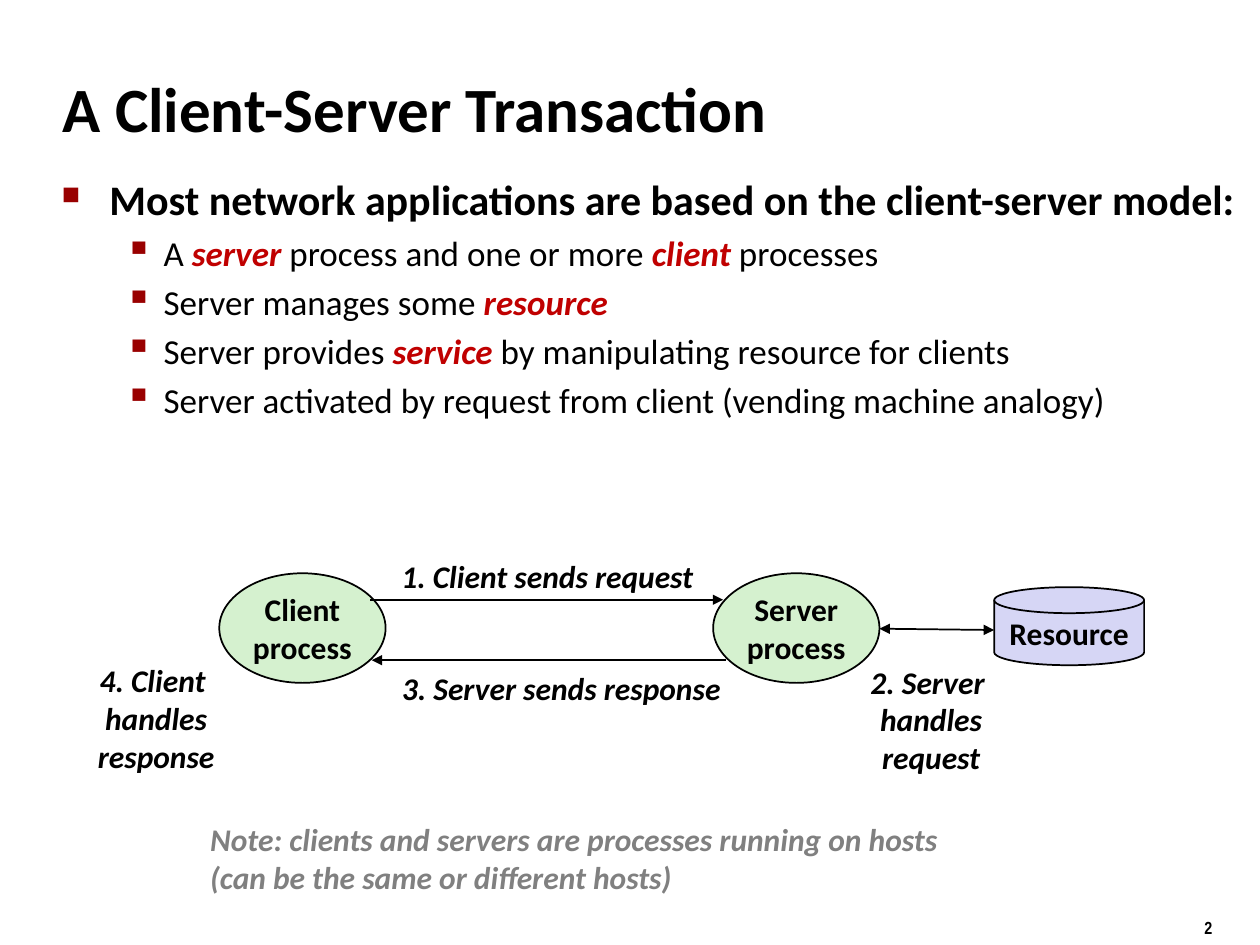
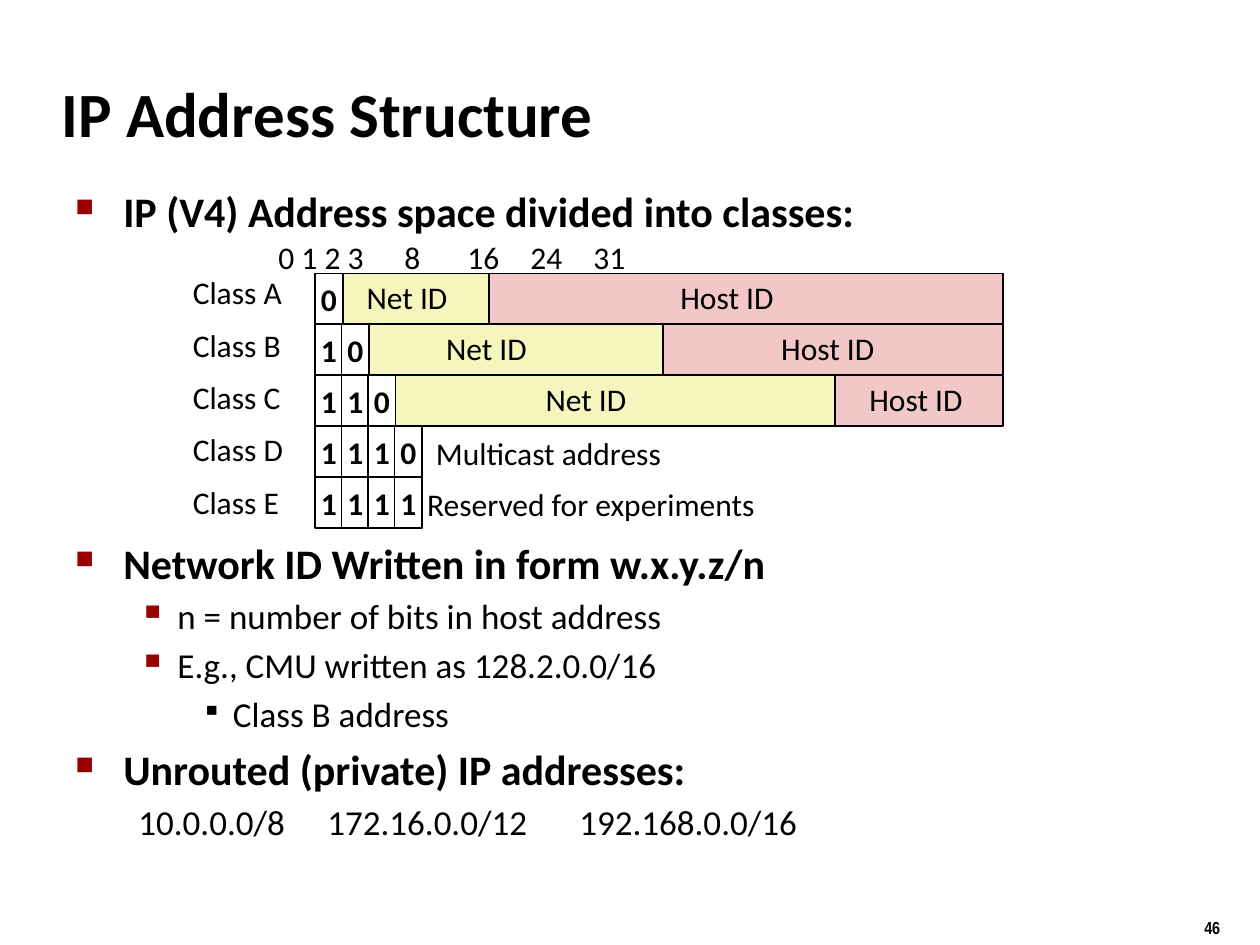
from lxml import etree
from pptx import Presentation
from pptx.dml.color import RGBColor
from pptx.enum.shapes import MSO_CONNECTOR as Connector, MSO_SHAPE as Shape
from pptx.enum.text import MSO_ANCHOR as Anchor, PP_ALIGN as Align
from pptx.oxml.ns import qn
from pptx.util import Inches, Pt

BLACK, WHITE, GREY = "000000", "FFFFFF", "808080"
BULLET_RED, EMPHASIS_RED = "990000", "C00000"
GREEN, LILAC, YELLOW, PINK = "D5F1CF", "D6D6F5", "F6F5BD", "F1C7C7"
LEVELS = [
    dict(size=24, bold=True, before=4.8, margin=0.38, hang=0.38, bullet=("■", BULLET_RED, 60)),
    dict(size=20, before=4, margin=0.81, hang=0.31, bullet=("▪", BULLET_RED, 110)),
    dict(size=20, before=4, margin=1.25, hang=0.25, bullet=("▪", BLACK, 80)),
]


def rgb(value):
    """Turn a hex string into a colour."""
    return RGBColor.from_string(value)


def add_element(parent, tag, **attributes):
    """Append a DrawingML child with the given attributes."""
    child = etree.SubElement(parent, qn(tag))
    for name, value in attributes.items():
        child.set(name, str(value))
    return child


def write(paragraph, text, size=18, bold=False, italic=False, color=BLACK, font="Calibri",
          align=Align.LEFT, before=0, margin=0, hang=0, bullet=None, tabs=()):
    """Write text into a paragraph, emphasising the parts between asterisks."""
    properties = paragraph._p.get_or_add_pPr()
    properties.set("marL", str(Inches(margin)))
    properties.set("indent", str(-Inches(hang)))
    if bullet:
        character, bullet_color, percent = bullet
        add_element(add_element(properties, "a:buClr"), "a:srgbClr", val=bullet_color)
        add_element(properties, "a:buSzPct", val=percent * 1000)
        add_element(properties, "a:buChar", char=character)
    if tabs:
        stops = add_element(properties, "a:tabLst")
        for position in tabs:
            add_element(stops, "a:tab", pos=Inches(position), algn="l")
    paragraph.alignment = align
    paragraph.space_before = Pt(before)
    for index, part in enumerate(text.split("*")):
        if not part:
            continue
        emphasised = index % 2 == 1
        run = paragraph.add_run()
        run.text = part
        run.font.name, run.font.size = font, Pt(size)
        run.font.bold, run.font.italic = bold or emphasised, italic or emphasised
        run.font.color.rgb = rgb(EMPHASIS_RED if emphasised else color)


class Deck:
    """Hold the shared style and the slide being built."""

    def __init__(self):
        """Open a presentation of 10 by 7.5 inches."""
        self.presentation = Presentation()
        self.presentation.slide_width = Inches(10)
        self.presentation.slide_height = Inches(7.5)
        self.slide = None

    def new_slide(self, title, number, left, top, width, height):
        """Start a slide with its title and page number."""
        self.slide = self.presentation.slides.add_slide(self.presentation.slide_layouts[6])
        self.text(title, left, top, width, height, anchor=Anchor.MIDDLE, size=36, bold=True)
        self.text(number, 9.46, 7.23, 0.74, 0.26, size=10, bold=True, font="Arial Narrow")

    def fill_frame(self, frame, paragraphs, inset, anchor):
        """Write (text, format) pairs into a text frame."""
        frame.margin_left = frame.margin_right = Inches(inset)
        frame.margin_top = frame.margin_bottom = Inches(inset / 2)
        frame.vertical_anchor = anchor
        for index, (line, style) in enumerate(paragraphs):
            paragraph = frame.add_paragraph() if index else frame.paragraphs[0]
            write(paragraph, line, **(style if index else {**style, "before": 0}))

    def text_box(self, paragraphs, left, top, width, height, inset=0.1, anchor=Anchor.TOP):
        """Add a wrapping text box of formatted paragraphs."""
        box = self.slide.shapes.add_textbox(Inches(left), Inches(top), Inches(width), Inches(height))
        box.text_frame.word_wrap = True
        self.fill_frame(box.text_frame, paragraphs, inset, anchor)

    def text(self, text, left, top, width, height, inset=0.1, anchor=Anchor.TOP, **style):
        """Add a text box whose lines share one format."""
        lines = [(line, style) for line in text.split("\n")]
        self.text_box(lines, left, top, width, height, inset, anchor)

    def step(self, text, left, top, width, height):
        """Add an italic caption for one step of the transaction."""
        self.text(text, left, top, width, height, anchor=Anchor.MIDDLE,
                  bold=True, italic=True, align=Align.CENTER)

    def shape(self, kind, fill, left, top, width, height, text=""):
        """Add an outlined shape with centred bold text."""
        shape = self.slide.shapes.add_shape(kind, Inches(left), Inches(top), Inches(width), Inches(height))
        shape.shadow.inherit = False
        shape.fill.solid()
        shape.fill.fore_color.rgb = rgb(fill)
        shape.line.color.rgb = rgb(BLACK)
        shape.line.width = Pt(1)
        if text:
            shape.text_frame.word_wrap = False
            style = dict(bold=True, align=Align.CENTER)
            lines = [(line, style) for line in text.split("\n")]
            self.fill_frame(shape.text_frame, lines, 0, Anchor.MIDDLE)

    def arrow(self, start, end, both=False):
        """Add an arrow that points at its end, or at both ends."""
        connector = self.slide.shapes.add_connector(
            Connector.STRAIGHT, *(Inches(value) for value in (*start, *end)))
        connector.line.color.rgb = rgb(BLACK)
        connector.line.width = Pt(1)
        add_element(connector._element.spPr, "a:effectLst")
        line = connector.line._get_or_add_ln()
        if both:
            add_element(line, "a:headEnd", type="triangle")
        add_element(line, "a:tailEnd", type="triangle")


def build_transaction(deck):
    """Build the client-server transaction slide."""
    deck.new_slide("A Client-Server Transaction", "2", 0.4, 0.54, 7.83, 0.63)
    points = [
        (0, "Most network applications are based on the client-server model:"),
        (1, "A *server* process and one or more *client *processes"),
        (1, "Server manages some *resource*"),
        (1, "Server provides *service* by manipulating resource for clients"),
        (1, "Server activated by request from client (vending machine analogy)"),
    ]
    deck.text_box([(text, LEVELS[level]) for level, text in points], 0.39, 1.33, 9.6, 2.25)

    for name, left in (("Client", 1.74), ("Server", 5.66)):
        deck.shape(Shape.OVAL, GREEN, left, 4.55, 1.32, 0.87, f"{name}\nprocess")
    deck.shape(Shape.FLOWCHART_MAGNETIC_DISK, LILAC, 7.89, 4.66, 1.19, 0.62, "Resource")
    deck.arrow((2.94, 4.76), (5.74, 4.76))
    deck.arrow((5.76, 5.24), (2.95, 5.24))
    deck.arrow((6.98, 4.99), (7.89, 5), both=True)
    deck.step("1. Client sends request", 2.91, 4.37, 2.87, 0.4)
    deck.step("2. Server \nhandles\nrequest", 6.75, 5.21, 1.28, 1)
    deck.step("3. Server sends response", 2.91, 5.26, 3.09, 0.4)
    deck.step("4. Client \nhandles\nresponse", 0.61, 5.2, 1.26, 1)
    deck.text("Note: clients and servers are processes running on hosts\n"
              "(can be the same or different hosts)",
              1.57, 6.46, 6.91, 0.7, bold=True, italic=True, color=GREY)


def build_address_classes(deck):
    """Draw the bit layout of the address classes."""
    left, top, right = 2.5, 2.17, 7.96
    bit_pitch, bit_width, height = 0.21, 0.22, 0.4
    row_pitch, label_pitch = (3.79 - top) / 4, (3.83 - top) / 4
    deck.text("0 1 2 3\t8\t16\t24\t31", 2.21, 1.89, 6.19, 0.3, inset=0,
              tabs=(1.24, 2.44, 3.77, 5.15))
    classes = [
        ("A", "0", 3.88, [("Net ID", 2.91), ("Host ID", 5.4)]),
        ("B", "10", 5.26, [("Net ID", 3.54), ("Host ID", 6.2)]),
        ("C", "110", 6.63, [("Net ID", 4.33), ("Host ID", 6.9)]),
        ("D", "1110", None, [("Multicast address", 3.46)]),
        ("E", "1111", None, [("Reserved for experiments", 3.39)]),
    ]
    for row, (letter, bits, host_left, captions) in enumerate(classes):
        row_top = top + row * row_pitch
        deck.text(f"Class {letter}", 1.53, top + row * label_pitch, 0.85, 0.3, inset=0)
        if host_left:
            net_left = left + len(bits) * bit_pitch
            deck.shape(Shape.RECTANGLE, YELLOW, net_left, row_top, host_left - net_left, height)
            deck.shape(Shape.RECTANGLE, PINK, host_left, row_top, right - host_left, height)
        for index, bit in enumerate(bits):
            deck.shape(Shape.RECTANGLE, WHITE, left + index * bit_pitch, row_top,
                       bit_width, height, bit)
        for caption, caption_left in captions:
            caption_top = row_top + (0.04 if host_left else 0.06)
            deck.text(caption, caption_left, caption_top, 0.13 * len(caption), 0.3, inset=0)


def build_addresses(deck):
    """Build the IP address structure slide."""
    deck.new_slide("IP Address Structure", "46", 0.39, 0.48, 8.3, 0.83)
    deck.text_box([
        ("IP (V4) Address space divided into classes:", LEVELS[0]),
        ("Network ID Written in form w.x.y.z/n", {**LEVELS[0], "before": 172.5}),
        ("n = number of bits in host address", LEVELS[1]),
        ("E.g., CMU written as 128.2.0.0/16", LEVELS[1]),
        ("Class B address", LEVELS[2]),
        ("Unrouted (private) IP addresses:", LEVELS[0]),
        ("\t10.0.0.0/8\t172.16.0.0/12\t192.168.0.0/16",
         dict(size=20, before=4, tabs=(0.81, 2.17, 3.94))),
    ], 0.5, 1.42, 9.08, 5.71)
    build_address_classes(deck)


def main():
    """Build both slides and save them."""
    deck = Deck()
    build_transaction(deck)
    build_addresses(deck)
    deck.presentation.save("out.pptx")


if __name__ == "__main__":
    main()
